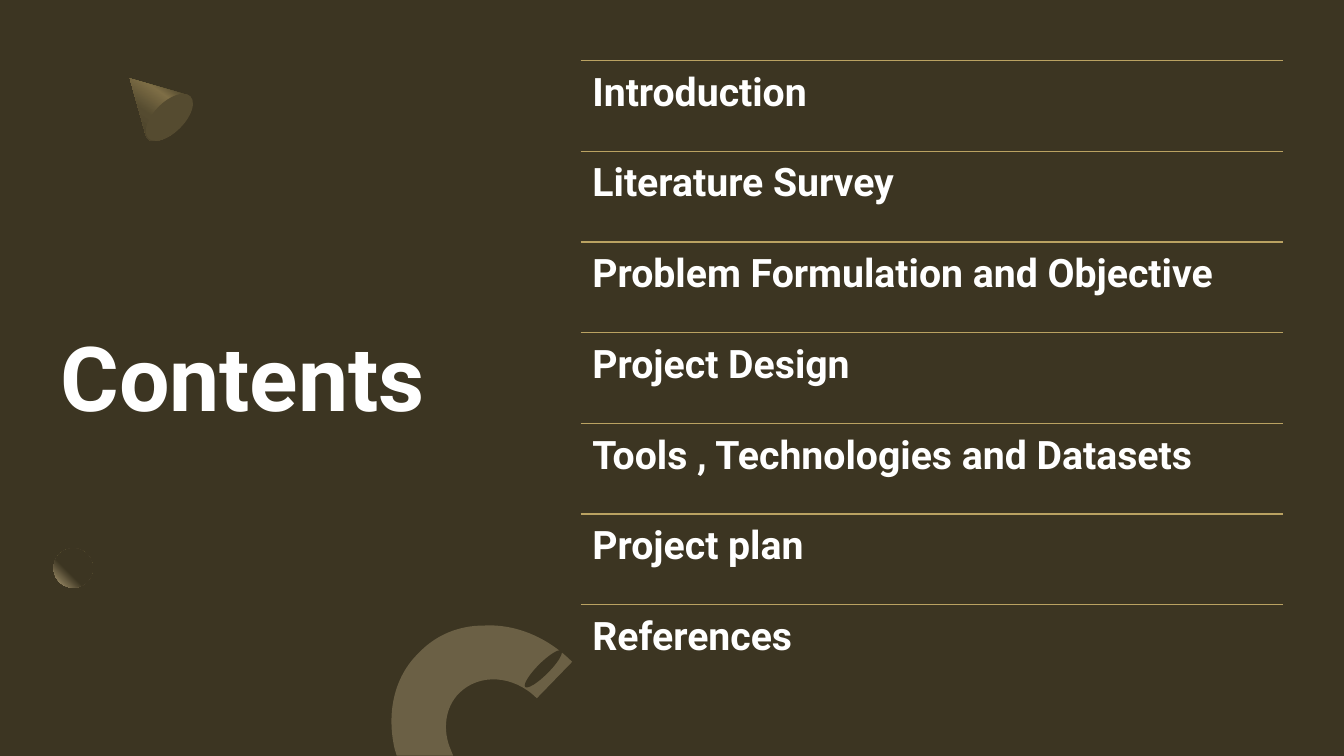
from dataclasses import dataclass
from math import sqrt

from lxml.etree import SubElement
from pptx import Presentation
from pptx.dml.color import RGBColor
from pptx.enum.shapes import MSO_CONNECTOR, MSO_SHAPE
from pptx.enum.text import MSO_ANCHOR
from pptx.oxml.ns import qn
from pptx.shapes.autoshape import Shape
from pptx.slide import Slide
from pptx.text.text import TextFrame
from pptx.util import Pt

DARK = RGBColor(0x3C, 0x35, 0x22)
OLIVE = RGBColor(0x55, 0x4B, 0x30)
BRONZE = RGBColor(0x7E, 0x6E, 0x46)
SAND = RGBColor(0xB3, 0xA2, 0x7A)
GOLD = RGBColor(0xBA, 0xA2, 0x62)
WHITE = RGBColor(0xFF, 0xFF, 0xFF)

FONT = "Roboto"
LEFT, TOP, WIDTH, PITCH = 414.7, 43.2, 501.8, 64.8
INSET = 8.5

TOPICS = [
    "Introduction",
    "Literature Survey",
    "Problem Formulation and Objective",
    "Project Design",
    "Tools , Technologies and Datasets",
    "Project plan",
    "References",
]

Point = tuple[float, float]


@dataclass
class Block:
    kind: MSO_SHAPE
    left: float
    top: float
    width: float
    height: float
    color: RGBColor
    turn: float = 0


@dataclass
class Path:
    """An outline turned by -45 degrees about its center.

    Each segment holds one point for a line or three for a cubic curve.
    """
    center: Point
    color: RGBColor
    segs: list[list[Point]]


@dataclass
class Stop:
    place: int
    color: RGBColor


CONE = Path((110.5, 73.8), OLIVE, [
    [(92.9, 56.2)],
    [(133.2, 67.7)],
    [(133.9, 67.7)],
    [(134.6, 68.4), (135.4, 68.4), (135.4, 69.1)],
    [(139.7, 73.4), (136.1, 83.5), (128.2, 91.4)],
    [(119.5, 100.1), (109.4, 103), (105.8, 99.4)],
    [(105.1, 98.6), (104.4, 97.9), (104.4, 97.2)],
    [(104.4, 97.2)],
    [(92.9, 56.2)],
])
SHADE = Path((326.2, 487.8), DARK, [
    [(349.2, 443.5)],
    [(367.9, 443.5), (386.6, 450.7), (401, 465.1)],
    [(375.1, 490.3)],
    [(360.7, 476.6), (337.7, 476.6), (323.3, 490.3)],
    [(311, 503.3), (309.6, 522), (319, 536.4)],
    [(321.8, 540)],
    [(280.1, 540)],
    [(279.4, 537.1)],
    [(272.2, 512.6), (277.9, 484.6), (297.4, 465.1)],
    [(311.8, 450.7), (330.5, 443.5), (349.2, 443.5)],
])
ARC = Path((332.3, 491.8), SAND, [
    [(345.6, 447.1)],
    [(367.9, 445.7), (391, 455), (409, 473)],
    [(383.8, 499)],
    [(367.2, 482.4), (342.7, 481), (328.3, 495.4)],
    [(318.2, 505.4), (316.1, 522), (322.6, 536.4)],
    [(324, 540)],
    [(283.7, 540)],
    [(282.2, 535)],
    [(276.5, 509.8), (281.5, 483.8), (299.5, 466.6)],
    [(311.8, 453.6), (328.3, 447.1), (345.6, 447.1)],
])
CONE_FADE = [Stop(0, OLIVE), Stop(30, OLIVE), Stop(40, BRONZE),
             Stop(60, OLIVE), Stop(100, DARK)]
BALL_FADE = [Stop(0, DARK), Stop(60, DARK), Stop(100, SAND)]

PANEL = Block(MSO_SHAPE.RECTANGLE, 0, 0, 960, 540, DARK)
CONE_BASE = Block(MSO_SHAPE.OVAL, 110.2, 62.6, 21.6, 42.5, OLIVE, 45)
BALL = Block(MSO_SHAPE.OVAL, 38.2, 391.7, 28.1, 28.1, DARK)
ARC_HOLE = Block(MSO_SHAPE.OVAL, 383.8, 459.4, 8.6, 36.7, DARK, 45)


def paint(shape: Shape, color: RGBColor) -> None:
    shape.shadow.inherit = False
    shape.line.fill.background()
    shape.fill.solid()
    shape.fill.fore_color.rgb = color


def draw_path(slide: Slide, path: Path) -> Shape:
    """Draw an outline upright with true curves, then turn it into place."""
    mid_x, mid_y = path.center

    def upright(dot: Point) -> tuple[int, int]:
        dx, dy = dot[0] - mid_x, dot[1] - mid_y
        return Pt(mid_x + (dx - dy) / sqrt(2)), Pt(mid_y + (dx + dy) / sqrt(2))

    segs = [[upright(dot) for dot in seg] for seg in path.segs]
    pen = slide.shapes.build_freeform(*segs[0][0])
    pen.add_line_segments([seg[-1] for seg in segs[1:]], close=True)
    shape = pen.convert_to_shape()
    outline = next(shape._element.iter(qn("a:path")))
    for line, seg in zip(outline.findall(qn("a:lnTo")), segs[1:]):
        if len(seg) == 3:
            curve = line.makeelement(qn("a:cubicBezTo"))
            for x, y in seg:
                SubElement(curve, qn("a:pt"), x=str(x - shape.left), y=str(y - shape.top))
            outline.replace(line, curve)
    shape.rotation = 315
    paint(shape, path.color)
    return shape


def draw_block(slide: Slide, block: Block) -> Shape:
    shape = slide.shapes.add_shape(block.kind, Pt(block.left), Pt(block.top),
                                   Pt(block.width), Pt(block.height))
    shape.rotation = block.turn
    paint(shape, block.color)
    return shape


def fade(shape: Shape, stops: list[Stop], angle: int | None = None) -> None:
    """Apply a linear gradient, or a circular one from the top right corner."""
    solid = shape._element.spPr.find(qn("a:solidFill"))
    grad = solid.makeelement(qn("a:gradFill"), {"rotWithShape": "1"})
    group = SubElement(grad, qn("a:gsLst"))
    for stop in stops:
        mark = SubElement(group, qn("a:gs"), pos=str(stop.place * 1000))
        SubElement(mark, qn("a:srgbClr"), val=str(stop.color))
    if angle is None:
        ring = SubElement(grad, qn("a:path"), path="circle")
        SubElement(ring, qn("a:fillToRect"), l="100000", b="100000")
    else:
        SubElement(grad, qn("a:lin"), ang=str(angle * 60000), scaled="0")
    solid.getparent().replace(solid, grad)


def set_alpha(shape: Shape, share: int) -> None:
    color = shape._element.spPr.find(qn("a:solidFill"))[0]
    SubElement(color, qn("a:alpha"), val=str(share * 1000))


def add_text(slide: Slide, text: str, left: float, top: float, width: float,
             height: float, size: float, inset: float = 0) -> TextFrame:
    box = slide.shapes.add_textbox(Pt(left), Pt(top), Pt(width), Pt(height))
    frame = box.text_frame
    frame.word_wrap = True
    frame.margin_left = frame.margin_right = Pt(inset)
    frame.margin_top = frame.margin_bottom = Pt(inset)
    para = frame.paragraphs[0]
    para.text = text
    font = para.font
    font.name, font.size, font.bold = FONT, Pt(size), True
    font.color.rgb = WHITE
    return frame


def add_topic(slide: Slide, text: str, top: float) -> None:
    rule = slide.shapes.add_connector(MSO_CONNECTOR.STRAIGHT, Pt(LEFT), Pt(top),
                                      Pt(LEFT + WIDTH), Pt(top))
    rule.line.color.rgb = GOLD
    rule.line.width = Pt(1)
    SubElement(rule._element.spPr, qn("a:effectLst"))
    frame = add_text(slide, text, LEFT, top, WIDTH, PITCH, 28, INSET)
    frame.paragraphs[0].line_spacing = 0.9


def main() -> None:
    deck = Presentation()
    deck.slide_width, deck.slide_height = Pt(960), Pt(540)
    slide = deck.slides.add_slide(deck.slide_layouts[6])
    slide.background.fill.solid()
    slide.background.fill.fore_color.rgb = DARK
    draw_block(slide, PANEL)

    title = add_text(slide, "Contents", 43.2, 119.5, 357.1, 297.4, 64)
    title.vertical_anchor = MSO_ANCHOR.MIDDLE

    fade(draw_path(slide, CONE), CONE_FADE, 170)
    draw_block(slide, CONE_BASE)
    fade(draw_block(slide, BALL), BALL_FADE)
    draw_path(slide, SHADE)
    set_alpha(draw_path(slide, ARC), 40)
    draw_block(slide, ARC_HOLE)

    for row, topic in enumerate(TOPICS):
        add_topic(slide, topic, TOP + row * PITCH)
    deck.save("out.pptx")


if __name__ == "__main__":
    main()
